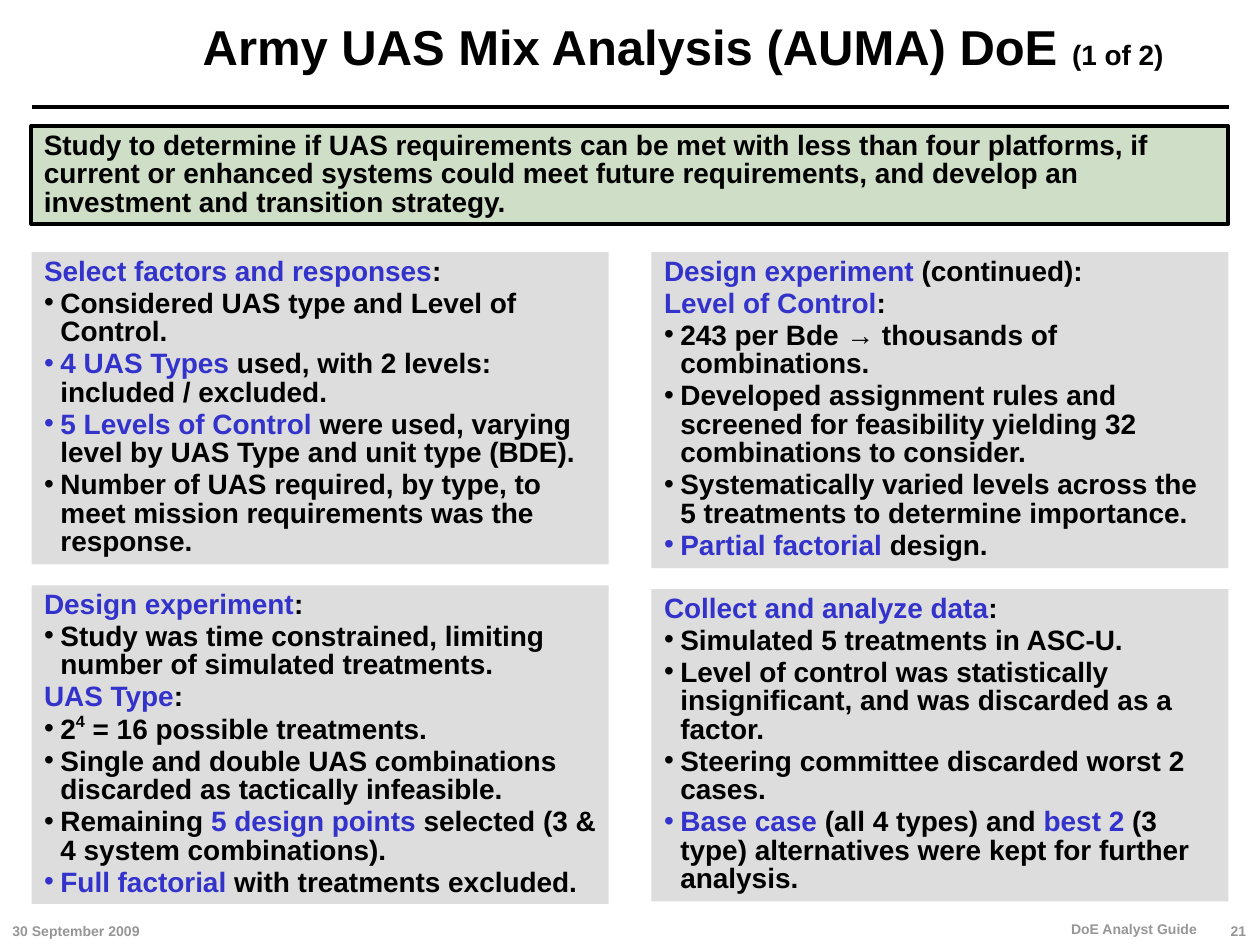
from lxml import etree
from pptx import Presentation, util as u
from pptx.dml.color import RGBColor
from pptx.enum import shapes, text
from pptx.oxml.ns import qn

THEME = {
    "font": "Arial",
    "colours": {"plain": "000000", "accent": "3333CC", "super": "000000", "muted": "969696",
                "summary": "CFDEC6", "panel": "DDDDDD"},
    "sizes": {"title": 28, "body": 16, "footer": 8},
}

TITLE = "Army UAS Mix Analysis (AUMA) DoE"
SUMMARY = ("Study to determine if UAS requirements can be met with less than four platforms, "
           "if current or enhanced systems could meet future requirements, and develop an "
           "investment and transition strategy.")

HEADING, BULLET = False, True
COLUMNS = [
    [
        (9.92, [
            (HEADING, [("Select factors and responses", "accent"), (":", "plain")]),
            (BULLET, [("Considered UAS type and Level of Control.", "plain")]),
            (BULLET, [("4 UAS Types", "accent"),
                      (" used, with 2 levels: included / excluded.", "plain")]),
            (BULLET, [("5 Levels of Control", "accent"),
                      (" were used, varying level by UAS Type and unit type (BDE).", "plain")]),
            (BULLET, [("Number of UAS required, by type, to meet mission requirements "
                       "was the response.", "plain")]),
        ]),
        (10.12, [
            (HEADING, [("Design experiment", "accent"), (":", "plain")]),
            (BULLET, [("Study was time constrained, limiting number of simulated treatments.",
                       "plain")]),
            (HEADING, [("UAS Type", "accent"), (":", "plain")]),
            (BULLET, [("2", "plain"), ("4", "super"), (" = 16 possible treatments.", "plain")]),
            (BULLET, [("Single and double UAS combinations discarded as tactically infeasible.",
                       "plain")]),
            (BULLET, [("Remaining ", "plain"), ("5 design points", "accent"),
                      (" selected (3 & 4 system combinations).", "plain")]),
            (BULLET, [("Full factorial", "accent"), (" with treatments excluded.", "plain")]),
        ]),
    ],
    [
        (10.04, [
            (HEADING, [("Design experiment ", "accent"), ("(continued):", "plain")]),
            (HEADING, [("Level of Control", "accent"), (":", "plain")]),
            (BULLET, [("243 per Bde → thousands of combinations.", "plain")]),
            (BULLET, [("Developed assignment rules and screened for feasibility yielding "
                       "32 combinations to consider.", "plain")]),
            (BULLET, [("Systematically varied levels across the 5 treatments to determine "
                       "importance.", "plain")]),
            (BULLET, [("Partial factorial", "accent"), (" design.", "plain")]),
        ]),
        (9.92, [
            (HEADING, [("Collect and analyze data", "accent"), (":", "plain")]),
            (BULLET, [("Simulated 5 treatments in ASC-U.", "plain")]),
            (BULLET, [("Level of control was statistically insignificant, and was discarded "
                       "as a factor.", "plain")]),
            (BULLET, [("Steering committee discarded worst 2 cases.", "plain")]),
            (BULLET, [("Base case", "accent"), (" (all 4 types) and ", "plain"),
                      ("best 2", "accent"),
                      (" (3 type) alternatives were kept for further analysis.", "plain")]),
        ]),
    ],
]

LEFT, RIGHT = text.PP_ALIGN.LEFT, text.PP_ALIGN.RIGHT
TOP, MIDDLE, BOTTOM = (text.MSO_ANCHOR.TOP, text.MSO_ANCHOR.MIDDLE, text.MSO_ANCHOR.BOTTOM)
LABELS = [
    ("(1 of 2)", (33.64, 1, 3.68, 1.48), "body", "plain", LEFT, TOP),
    ("30 September 2009", (0, 29, 8, 1), "footer", "muted", LEFT, BOTTOM),
    ("DoE Analyst Guide", (26.4, 28.96, 12, 1), "footer", "muted", RIGHT, BOTTOM),
    ("21", (38.36, 29, 1.6, 1), "footer", "muted", RIGHT, BOTTOM),
]

GRID_COLUMNS, GRID_ROWS = 40, 30
CELL = u.Inches(0.25)
MARGIN, CONTENT_WIDTH = 1, GRID_COLUMNS - 2
PANEL_TOP, GUTTER, ROW_GAP = 8, 1.36, 0.66
PANEL_WIDTH = (CONTENT_WIDTH - GUTTER) / 2
INDENT = u.Inches(0.13)
BODY_SPACING = {"line_spacing": 0.85, "space_before": u.Pt(2), "alignment": LEFT}


def cells(count):
    return round(count * CELL)


def colour(name):
    return RGBColor.from_string(THEME["colours"][name])


def apply(target, values):
    for name, value in values.items():
        setattr(target, name, value)


def place(shape, box):
    apply(shape, dict(zip(("left", "top", "width", "height"), map(cells, box))))


def frame_format(shape, anchor=TOP, wrap=True, **margins):
    apply(shape.text_frame, {"vertical_anchor": anchor, "word_wrap": wrap,
                             "auto_size": text.MSO_AUTO_SIZE.NONE, **margins})


def fill(shape, name):
    shape.fill.solid()
    shape.fill.fore_color.rgb = colour(name)


def write(paragraph, runs, size, **spacing):
    apply(paragraph, spacing)
    for words, style in runs:
        run = paragraph.add_run()
        run.text = words
        apply(run.font, {"name": THEME["font"], "size": u.Pt(THEME["sizes"][size]),
                         "bold": True})
        run.font.color.rgb = colour(style)
        if style == "super":
            run._r.get_or_add_rPr().set("baseline", "40000")


def set_bullet(paragraph, bulleted):
    properties = paragraph._p.get_or_add_pPr()
    properties.set("marL", str(INDENT))
    properties.set("indent", str(-INDENT))
    if bulleted:
        etree.SubElement(properties, qn("a:buChar")).set("char", "•")
    else:
        etree.SubElement(properties, qn("a:buNone"))


def add_title(slide):
    title = slide.shapes.title
    place(title, (MARGIN, 0, CONTENT_WIDTH, 3.12))
    frame_format(title, MIDDLE, margin_left=0, margin_right=0, margin_top=0, margin_bottom=0)
    write(title.text_frame.paragraphs[0], [(TITLE, "plain")], "title",
          line_spacing=0.9, alignment=text.PP_ALIGN.CENTER)
    rule = slide.shapes.add_connector(
        shapes.MSO_CONNECTOR.STRAIGHT,
        *map(cells, (MARGIN, 3.4, MARGIN + CONTENT_WIDTH, 3.4)))
    rule.line.width = u.Pt(2.5)
    rule.line.color.rgb = colour("plain")
    etree.SubElement(rule._element.spPr, qn("a:effectLst"))


def add_summary(slide):
    summary = slide.shapes.add_shape(
        shapes.MSO_SHAPE.RECTANGLE, *map(cells, (MARGIN, 4, CONTENT_WIDTH, 3.12)))
    summary.shadow.inherit = False
    fill(summary, "summary")
    summary.line.width = u.Pt(2.25)
    summary.line.color.rgb = colour("plain")
    frame_format(summary)
    write(summary.text_frame.paragraphs[0], [(SUMMARY, "plain")], "body", **BODY_SPACING)


def add_panels(slide):
    bodies = iter([shape for shape in slide.placeholders if shape.placeholder_format.idx])
    for column, panels in enumerate(COLUMNS):
        left, top = MARGIN + column * (PANEL_WIDTH + GUTTER), PANEL_TOP
        for height, paragraphs in panels:
            panel = next(bodies)
            place(panel, (left, top, PANEL_WIDTH, height))
            fill(panel, "panel")
            frame_format(panel)
            for index, (bulleted, runs) in enumerate(paragraphs):
                frame = panel.text_frame
                paragraph = frame.add_paragraph() if index else frame.paragraphs[0]
                write(paragraph, runs, "body", **BODY_SPACING)
                set_bullet(paragraph, bulleted)
            top += height + ROW_GAP


def add_labels(slide):
    for words, box, size, style, alignment, anchor in LABELS:
        label = slide.shapes.add_textbox(*map(cells, box))
        frame_format(label, anchor, wrap=False)
        write(label.text_frame.paragraphs[0], [(words, style)], size, alignment=alignment)


def main():
    presentation = Presentation()
    apply(presentation, {"slide_width": cells(GRID_COLUMNS), "slide_height": cells(GRID_ROWS)})
    comparison = presentation.slide_layouts.get_by_name("Comparison")
    slide = presentation.slides.add_slide(comparison)
    for add_part in (add_title, add_summary, add_panels, add_labels):
        add_part(slide)
    presentation.save("out.pptx")


if __name__ == "__main__":
    main()
